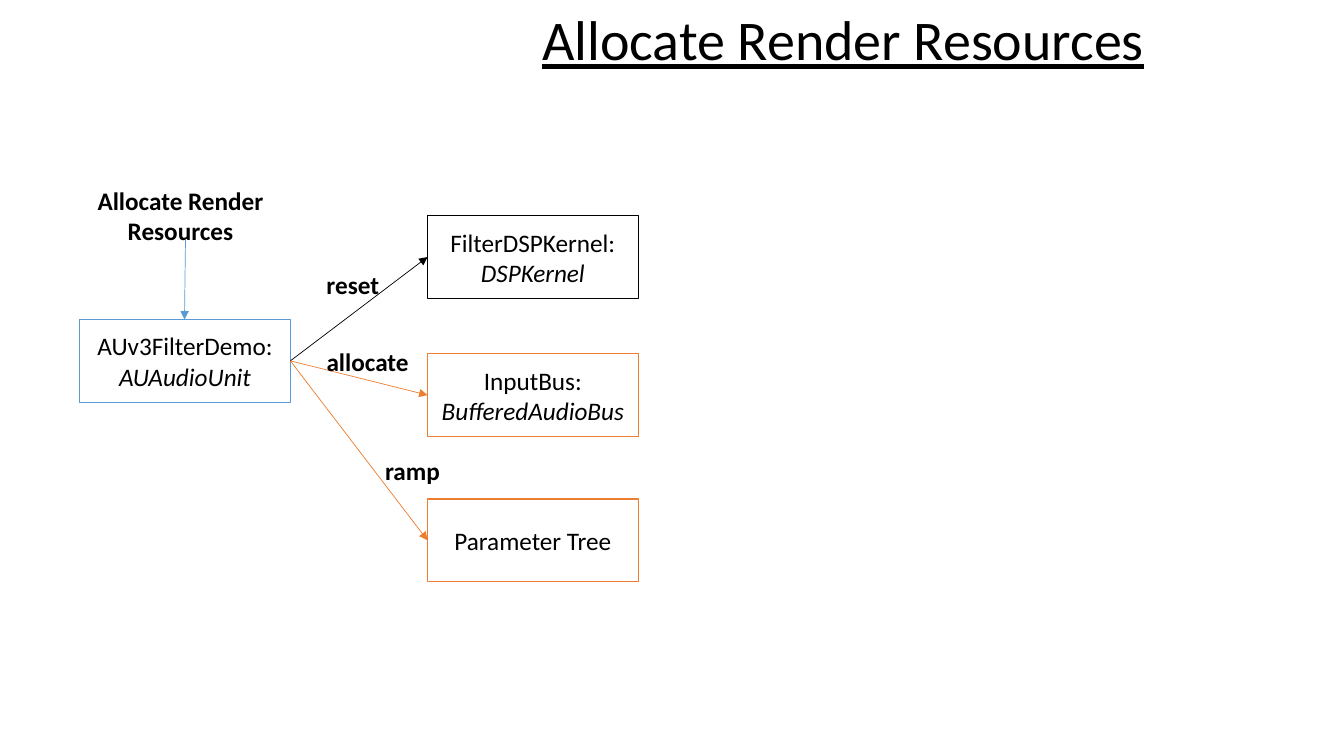
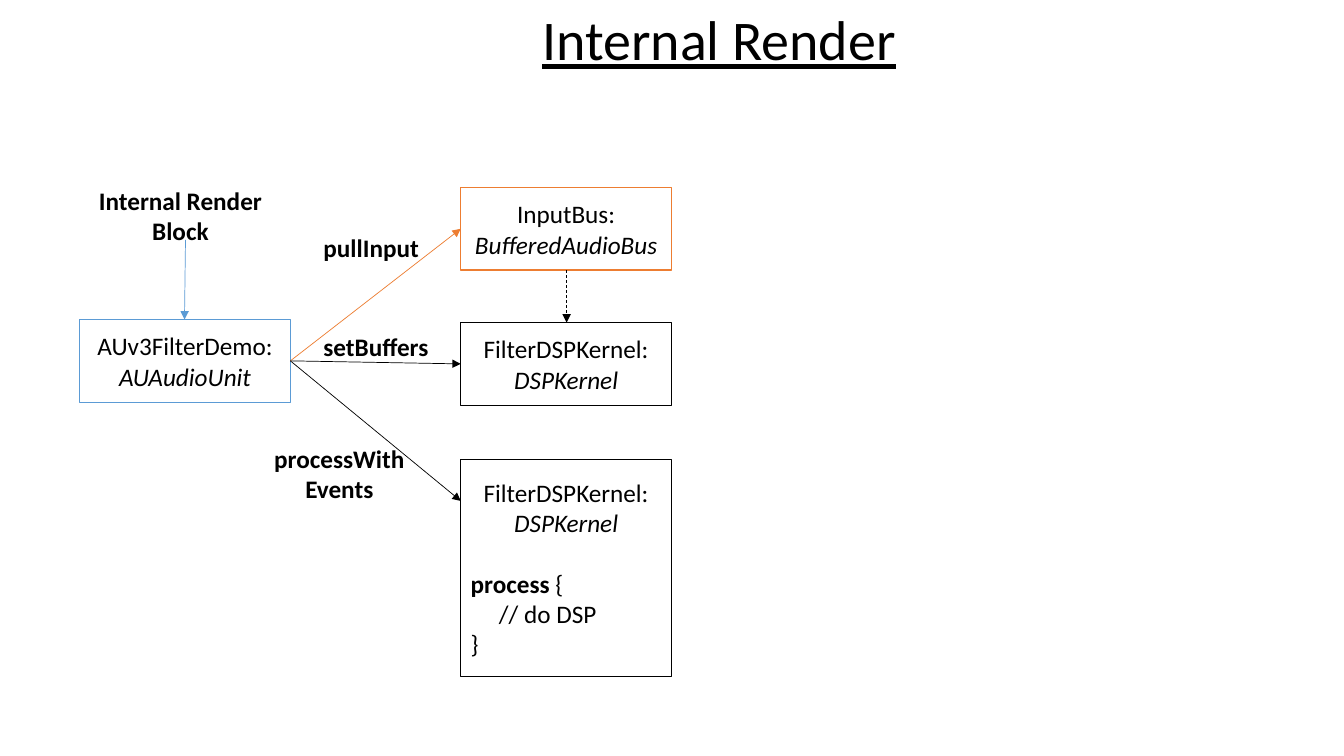
"""Build two call-flow slides for an audio unit."""
from pptx import Presentation
from pptx.dml.color import RGBColor
from pptx.enum.dml import MSO_LINE
from pptx.enum.shapes import MSO_CONNECTOR, MSO_SHAPE
from pptx.enum.text import MSO_ANCHOR, MSO_AUTO_SIZE, PP_ALIGN
from pptx.oxml.ns import qn
from pptx.util import Inches, Pt
from lxml import etree

BLACK, WHITE, BLUE, ORANGE = "000000", "FFFFFF", "5B9BD5", "ED7D31"
BOX_WIDTH, BOX_HEIGHT = 2.09, 0.82
UNIT_LEFT, UNIT_TOP = 0.79, 3.17
UNIT_EXIT = (2.88, 3.58)


def write(frame, paragraphs, size=18, align=PP_ALIGN.CENTER):
    """Fill a text frame with paragraphs of (text, font settings) runs."""
    for index, runs in enumerate(paragraphs):
        paragraph = frame.paragraphs[0] if index == 0 else frame.add_paragraph()
        paragraph.alignment = align if index == 0 else PP_ALIGN.LEFT
        for text, settings in runs:
            run = paragraph.add_run()
            run.text = text
            run.font.name, run.font.size = "Calibri", Pt(size)
            run.font.color.rgb = RGBColor.from_string(BLACK)
            for key, value in settings.items():
                setattr(run.font, key, value)


def draw_line(line, color, width):
    """Set the colour and width of a line."""
    line.color.rgb = RGBColor.from_string(color)
    line.width = Pt(width)


ITALIC, BOLD, UNDERLINE = {"italic": True}, {"bold": True}, {"underline": True}
UNIT = [[("AUv3FilterDemo: ", {}), ("AUAudioUnit", ITALIC)]]
KERNEL = [[("FilterDSPKernel: ", {}), ("DSPKernel", ITALIC)]]
INPUT_BUS = [[("InputBus: ", {}), ("BufferedAudioBus", ITALIC)]]
PARAMETERS = [[("Parameter Tree", {})]]
PROCESS = KERNEL + [[("process", BOLD), (" {", {})], [("// do DSP", {})], [("}", {})]]

flows = [
    {
        "title": ("Allocate Render Resources", 6.23),
        "entry": "Allocate Render Resources",
        "target_left": 4.24,
        "targets": [
            (KERNEL, 2.14, BOX_HEIGHT, BLACK),
            (INPUT_BUS, 3.51, BOX_HEIGHT, ORANGE),
            (PARAMETERS, 4.95, BOX_HEIGHT, ORANGE),
        ],
        "calls": [
            ("reset", 3.14, 2.62, 0.73),
            ("allocate", 3.14, 3.39, 1.02),
            ("ramp", 3.72, 4.47, 0.75),
        ],
        "handovers": [],
    },
    {
        "title": ("Internal Render", 3.75),
        "entry": "Internal Render Block",
        "target_left": 4.57,
        "targets": [
            (INPUT_BUS, 1.86, BOX_HEIGHT, ORANGE),
            (KERNEL, 3.2, BOX_HEIGHT, BLACK),
            (PROCESS, 4.56, 2.15, BLACK),
        ],
        "calls": [
            ("pullInput", 3.11, 2.26, 1.15),
            ("setBuffers", 3.11, 3.24, 1.26),
            ("processWithEvents", 2.57, 4.35, 1.59),
        ],
        "handovers": [((5.62, 2.68), (5.62, 3.2), BLACK, MSO_LINE.DASH)],
    },
]

deck = Presentation()
deck.slide_width, deck.slide_height = Inches(13.33), Inches(7.5)

for flow in flows:
    slide = deck.slides.add_slide(deck.slide_layouts[6])
    target_left = flow["target_left"]

    boxes = [(UNIT, UNIT_LEFT, UNIT_TOP, BOX_HEIGHT, BLUE)]
    arrows = [((1.84, 2.38), (1.83, UNIT_TOP), BLUE, None)]
    for content, top, height, color in flow["targets"]:
        boxes.append((content, target_left, top, height, color))
        arrows.append((UNIT_EXIT, (target_left, top + BOX_HEIGHT / 2), color, None))

    for content, left, top, height, color in boxes:
        box = slide.shapes.add_shape(
            MSO_SHAPE.FLOWCHART_PROCESS,
            Inches(left), Inches(top), Inches(BOX_WIDTH), Inches(height))
        box.shadow.inherit = False
        box.fill.solid()
        box.fill.fore_color.rgb = RGBColor.from_string(WHITE)
        draw_line(box.line, color, 1)
        box.text_frame.word_wrap = True
        box.text_frame.vertical_anchor = MSO_ANCHOR.MIDDLE
        write(box.text_frame, content)
        if content is PROCESS:
            opening, body = box.text_frame.paragraphs[1:3]
            opening.space_before = Pt(22)
            body._p.get_or_add_pPr().set("marL", str(Inches(0.28)))

    for start, end, color, dash in arrows + flow["handovers"]:
        arrow = slide.shapes.add_connector(
            MSO_CONNECTOR.STRAIGHT, *[Inches(value) for value in start + end])
        draw_line(arrow.line, color, 0.5)
        if dash:
            arrow.line.dash_style = dash
        etree.SubElement(arrow.line._get_or_add_ln(), qn("a:tailEnd"), type="triangle")
        etree.SubElement(arrow._element.spPr, qn("a:effectLst"))

    title, title_width = flow["title"]
    captions = [
        (title, 5.28, 0, title_width, 0.77, 40, UNDERLINE, False),
        (flow["entry"], 0.7, 1.79, 2.18, 0.71, 18, BOLD, True),
    ]
    for call, left, top, width in flow["calls"]:
        wraps = call == "processWithEvents"
        captions.append((call, left, top, width, 0.71 if wraps else 0.4, 18, BOLD, wraps))

    for text, left, top, width, height, size, settings, wraps in captions:
        caption = slide.shapes.add_textbox(
            Inches(left), Inches(top), Inches(width), Inches(height))
        caption.text_frame.word_wrap = wraps
        caption.text_frame.auto_size = MSO_AUTO_SIZE.SHAPE_TO_FIT_TEXT
        align = PP_ALIGN.CENTER if wraps else PP_ALIGN.LEFT
        write(caption.text_frame, [[(text, settings)]], size, align)

deck.save("out.pptx")
